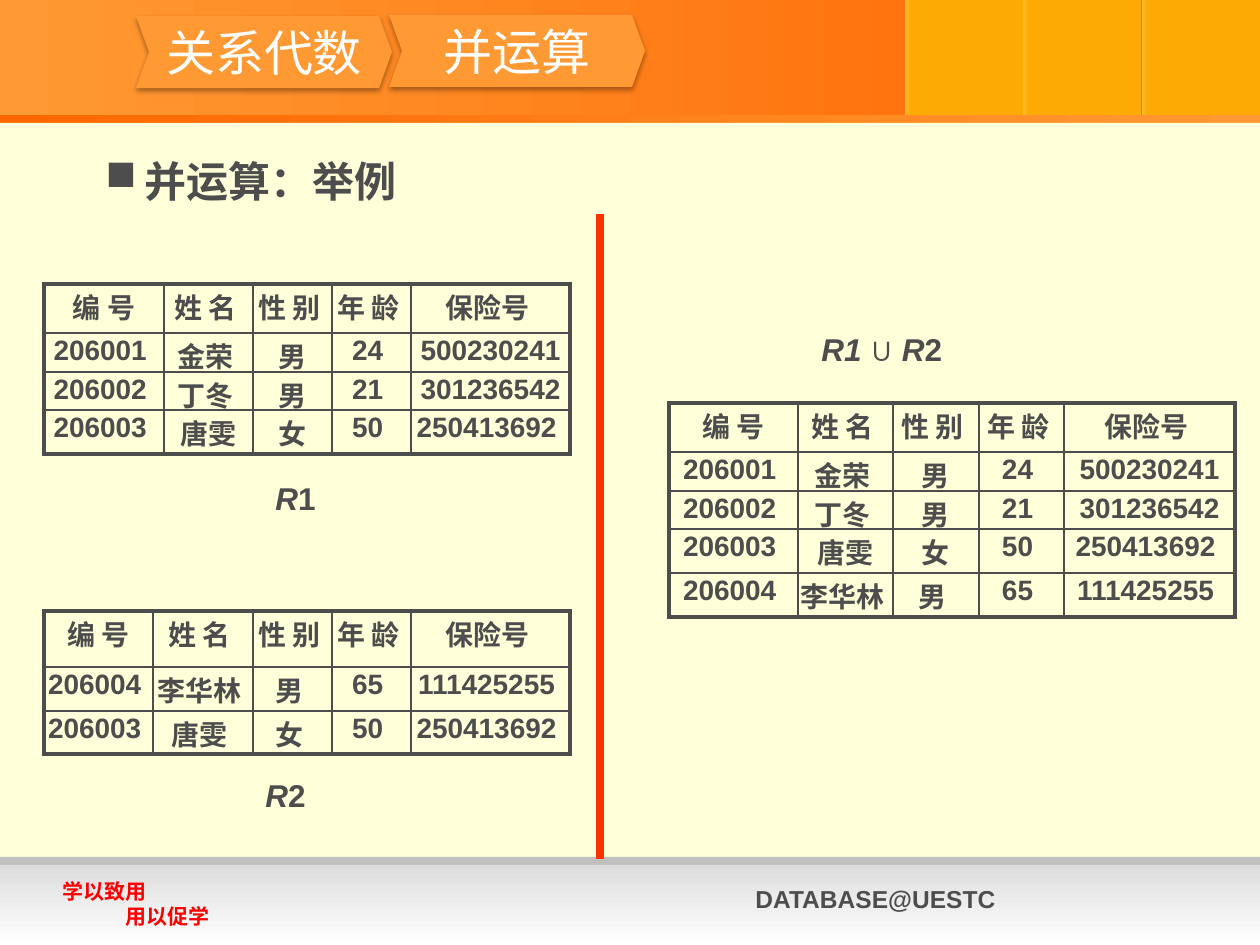
"""Build the relational algebra slide with the union example."""
from lxml.etree import SubElement
from pptx import Presentation
from pptx.dml.color import RGBColor
from pptx.enum.shapes import MSO_CONNECTOR, MSO_SHAPE
from pptx.enum.text import MSO_ANCHOR, PP_ALIGN
from pptx.oxml import parse_xml
from pptx.oxml.ns import nsdecls, qn
from pptx.util import Pt

PX = 914400 / 126
THEME = {
    "bg": "FFFFD9", "orange": "FF9933", "deep": "FF6600", "amber": "FDAA03",
    "glow": "FDB92A", "grey": "C0C0C0", "silver": "DDDDDD", "white": "FFFFFF",
    "ink": "4D4D4D", "red": "FF0000", "rule": "FF3300",
    "latin": "Arial", "cjk": "Noto Sans CJK SC",
    "title": 28, "body": 24, "label": 18, "cell": 16, "footer": 14, "motto": 12,
    "thick": 2.25, "thin": 1, "divider": 4.5,
}


def write(p, text, size, color="ink", name="latin", bold=True, italic=False):
    r = p.add_run()
    r.text = text
    r.font.color.rgb = RGBColor.from_string(THEME[color])
    fmt = {"size": Pt(THEME[size]), "name": THEME[name], "bold": bold, "italic": italic}
    for key, value in fmt.items():
        setattr(r.font, key, value)
    SubElement(r.font._element, qn("a:ea"), typeface=THEME["cjk"])


def px(*lengths):
    return [round(n * PX) for n in lengths]


prs = Presentation()
prs.slide_width, prs.slide_height = px(1260, 945)
s = prs.slides.add_slide(prs.slide_layouts[6])
s.background.fill.solid()
s.background.fill.fore_color.rgb = RGBColor.from_string(THEME["bg"])

bands = [((0, 0, 1260, 125), ("orange", "deep"), 0)]
for x in (905, 1023, 1142):
    bands += [((x, 0, 118, 125), ("amber",), 0), ((x, 0, 6, 125), ("glow", "amber"), 0)]
bands += [
    ((0, 115, 1260, 8), ("deep", "orange"), 0),
    ((0, 857, 1260, 37), ("grey",), 0),
    ((0, 865, 1260, 80), ("silver", "white"), 270),
    ((0, 123, 1260, 77), ("bg",), 0),
]
for place, colors, angle in bands:
    sp = s.shapes.add_shape(MSO_SHAPE.RECTANGLE, *px(*place))
    sp.shadow.inherit = False
    sp.line.fill.background()
    if len(colors) == 1:
        sp.fill.solid()
        sp.fill.fore_color.rgb = RGBColor.from_string(THEME[colors[0]])
    else:
        sp.fill.gradient()
        sp.fill.gradient_angle = angle
        for stop, color in zip(sp.fill.gradient_stops, colors):
            stop.color.rgb = RGBColor.from_string(THEME[color])

for x, y, title in ((136, 16, "关系代数"), (389, 15, "并运算")):
    sp = s.shapes.add_shape(MSO_SHAPE.CHEVRON, *px(x, y, 256, 72))
    sp.adjustments[0] = 0.18
    sp.fill.solid()
    sp.fill.fore_color.rgb = RGBColor.from_string(THEME["orange"])
    sp.line.fill.background()
    sp._element.spPr.append(parse_xml(
        f'<a:effectLst {nsdecls("a")}><a:outerShdw blurRad="40000" dist="23000" '
        'dir="5400000" rotWithShape="0"><a:srgbClr val="000000"><a:alpha val="35000"/>'
        '</a:srgbClr></a:outerShdw></a:effectLst>'))
    tf = sp.text_frame
    tf.word_wrap = False
    tf.vertical_anchor = MSO_ANCHOR.MIDDLE
    p = tf.paragraphs[0]
    p.alignment = PP_ALIGN.CENTER
    write(p, title, "title", "white", "cjk", bold=False)

texts = [
    ((743, 878, 435, 43), [[("DATABASE@UESTC", "footer")]]),
    ((50, 872, 252, 63), [[("学以致用", "motto", "red")], [("\t用以促学", "motto", "red")]]),
    ((30, 149, 1145, 688), [[("并运算：举例", "body", "ink", "cjk")]]),
]
for place, pieces in (
    ((263, 473, 77, 50), ("R", "1")),
    ((253, 770, 77, 50), ("R", "2")),
    ((809, 324, 198, 50), ("R1 ", "∪ ", "R", "2")),
):
    runs = [(t, "label", "ink", "latin", True, i % 2 == 0) for i, t in enumerate(pieces)]
    texts.append((place, [runs]))
for place, paragraphs in texts:
    tf = s.shapes.add_textbox(*px(*place)).text_frame
    tf.word_wrap = True
    for i, runs in enumerate(paragraphs):
        p = tf.add_paragraph() if i else tf.paragraphs[0]
        if runs[0][1] == "body":
            pPr = p._p.get_or_add_pPr()
            for key, value in zip(("marL", "indent"), px(102, -39)):
                pPr.set(key, str(value))
            SubElement(pPr, qn("a:buChar"), char="■")
        for run in runs:
            write(p, *run)

ln = s.shapes.add_connector(MSO_CONNECTOR.STRAIGHT, *px(600, 214, 600, 859))
ln.line.color.rgb = RGBColor.from_string(THEME["rule"])
ln.line.width = Pt(THEME["divider"])
SubElement(ln._element.spPr, qn("a:effectLst"))

header = (" 编 号 ", "姓 名 ", "性 别 ", "年 龄 ", "保险号 ")
r1 = [
    ("206001 ", "金荣 ", "男", "24 ", "500230241"),
    ("206002 ", "丁冬 ", "男", "21 ", "301236542"),
    ("206003 ", "唐雯", "女", "50 ", "250413692 "),
]
r2 = [
    ("206004 ", "李华林 ", "男 ", "65 ", "111425255 "),
    ("206003 ", "唐雯 ", "女 ", "50 ", "250413692 "),
]
tables = [
    (44, 284, (120, 89, 79, 79, 159), (49, 39, 38, 44), r1),
    (44, 611, (109, 100, 79, 79, 159), (56, 44, 43), r2),
    (669, 403, (129, 95, 86, 85, 171), (49, 39, 38, 44, 44), r1 + r2[:1]),
]
for x, y, widths, heights, records in tables:
    place = px(x, y, sum(widths), sum(heights))
    tbl = s.shapes.add_table(len(heights), len(widths), *place).table
    tbl.first_row = tbl.horz_banding = False
    for col, width in zip(tbl.columns, px(*widths)):
        col.width = width
    for row, height in zip(tbl.rows, px(*heights)):
        row.height = height
    for i, record in enumerate([header] + records):
        for j, value in enumerate(record):
            cell = tbl.cell(i, j)
            for side in ("left", "right", "top", "bottom"):
                setattr(cell, f"margin_{side}", px(2)[0])
            cell.fill.background()
            edges = {"L": j == 0, "R": j == len(widths) - 1,
                     "T": i == 0, "B": i == len(records)}
            for k, (side, outer) in enumerate(edges.items()):
                width = Pt(THEME["thick" if outer else "thin"])
                cell._tc.get_or_add_tcPr().insert(k, parse_xml(
                    f'<a:ln{side} {nsdecls("a")} w="{width}"><a:solidFill>'
                    f'<a:srgbClr val="{THEME["ink"]}"/></a:solidFill></a:ln{side}>'))
            p = cell.text_frame.paragraphs[0]
            p.alignment = PP_ALIGN.CENTER
            write(p, value, "cell")

prs.save("out.pptx")
